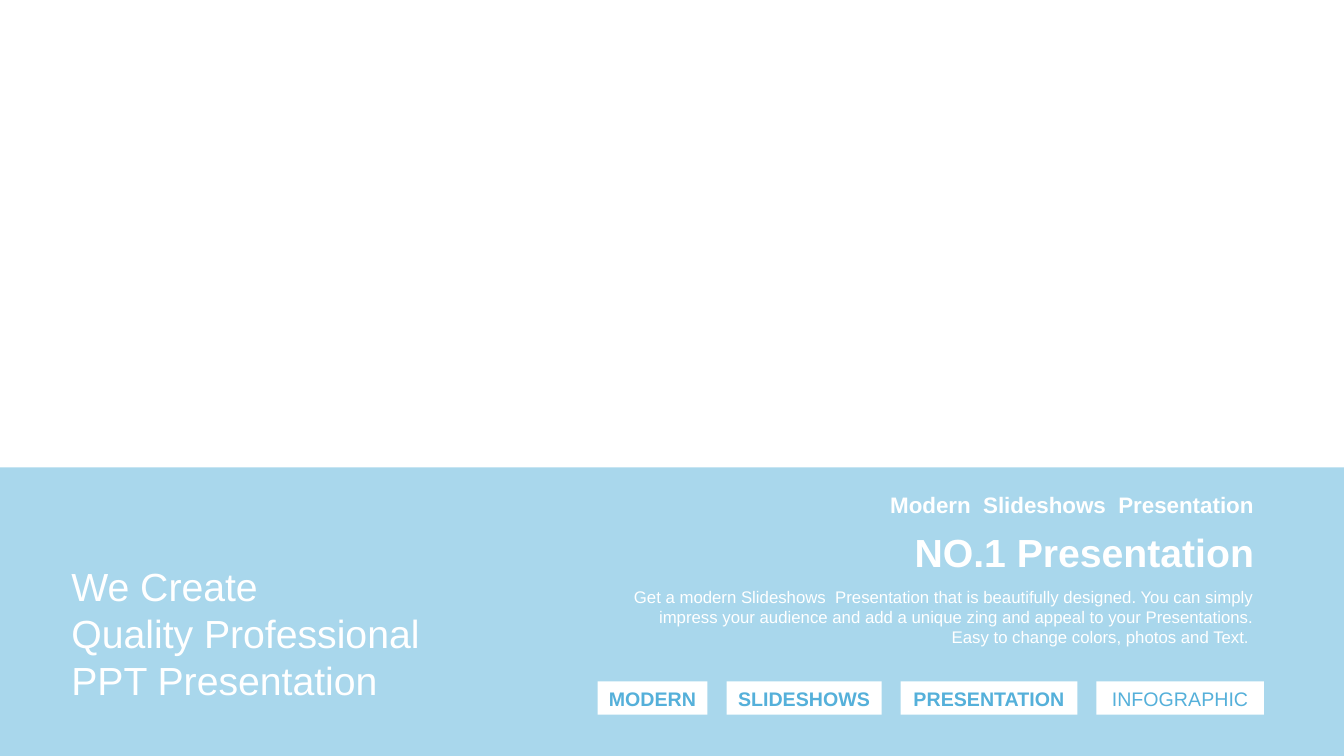
import pptx
import pptx.dml.color
import pptx.enum.shapes
import pptx.enum.text
import pptx.oxml
import pptx.oxml.ns
import pptx.util
from pptx.util import Cm

BLUE = "55B0DA"
WHITE = "FFFFFF"
ALIGN = pptx.enum.text.PP_ALIGN
ANCHOR = pptx.enum.text.MSO_ANCHOR


def color(value):
    return pptx.dml.color.RGBColor.from_string(value)


def set_font(p, size, value, bold=False):
    p.font.name = "Arial"
    p.font.size = pptx.util.Pt(size)
    p.font.bold = bold
    p.font.color.rgb = color(value)


def set_margins(tf, left, top, right, bottom):
    tf.margin_left, tf.margin_top = Cm(left), Cm(top)
    tf.margin_right, tf.margin_bottom = Cm(right), Cm(bottom)


def add_rect(s, left, top, width, height, fill, opacity=None):
    sp = s.shapes.add_shape(pptx.enum.shapes.MSO_SHAPE.RECTANGLE,
                            Cm(left), Cm(top), Cm(width), Cm(height))
    sp.shadow.inherit = False
    sp.line.fill.background()
    sp.fill.solid()
    sp.fill.fore_color.rgb = color(fill)
    if opacity is not None:
        clr = sp.fill._xPr.find(".//" + pptx.oxml.ns.qn("a:srgbClr"))
        alpha = pptx.oxml.parse_xml(
            f'<a:alpha {pptx.oxml.ns.nsdecls("a")} val="{opacity * 1000}"/>')
        clr.append(alpha)
    return sp


def add_text(s, left, top, width, height, lines, size, bold=False,
             align=ALIGN.RIGHT):
    tf = s.shapes.add_textbox(Cm(left), Cm(top), Cm(width), Cm(height)).text_frame
    tf.word_wrap = True
    tf.auto_size = pptx.enum.text.MSO_AUTO_SIZE.SHAPE_TO_FIT_TEXT
    tf.text = "\n".join(lines)
    for p in tf.paragraphs:
        p.alignment = align
        set_font(p, size, WHITE, bold)
    return tf


def add_tag(s, left, width, label, bold):
    tf = add_rect(s, left, 17.17, width, 0.84, WHITE).text_frame
    tf.word_wrap = False
    tf.vertical_anchor = ANCHOR.MIDDLE
    set_margins(tf, 0.25, 0.25, 0.25, 0.13)
    p = tf.paragraphs[0]
    p.text = label
    p.alignment = ALIGN.CENTER
    p.line_spacing = 0.9
    set_font(p, 14, BLUE, bold)


def main():
    prs = pptx.Presentation()
    prs.slide_width, prs.slide_height = Cm(33.87), Cm(19.05)
    s = prs.slides.add_slide(prs.slide_layouts[6])

    # Bottom band
    add_rect(s, 0, 11.78, 33.87, 7.27, BLUE, opacity=50)

    # Right-aligned message
    left, width = 15.49, 16.36
    add_text(s, left, 13.18, width, 1.45, ["NO.1 Presentation"], 28, True)
    add_text(s, left, 12.24, width, 0.94,
             ["Modern  Slideshows  Presentation"], 16, True)
    add_text(s, left, 14.66, width, 1.8, [
        "Get a modern Slideshows  Presentation that is beautifully designed. "
        "You can simply impress your audience and add a unique zing and appeal "
        "to your Presentations. Easy to change colors, photos and Text. "], 12)

    # Row of tags with equal gaps
    x, gap = 15.06, 0.48
    for label, tag_width, bold in (("MODERN", 2.77, True),
                                   ("SLIDESHOWS", 3.91, True),
                                   ("PRESENTATION", 4.45, True),
                                   ("INFOGRAPHIC", 4.22, False)):
        add_tag(s, x, tag_width, label, bold)
        x += tag_width + gap

    # Slogan on the left
    tf = add_text(s, 1.7, 14.15, 9.42, 3.58,
                  ["We Create", "Quality Professional", "PPT Presentation"],
                  28, align=ALIGN.LEFT)
    tf.vertical_anchor = ANCHOR.MIDDLE
    set_margins(tf, 0.1, 0, 0.1, 0)

    prs.save("out.pptx")


if __name__ == "__main__":
    main()
